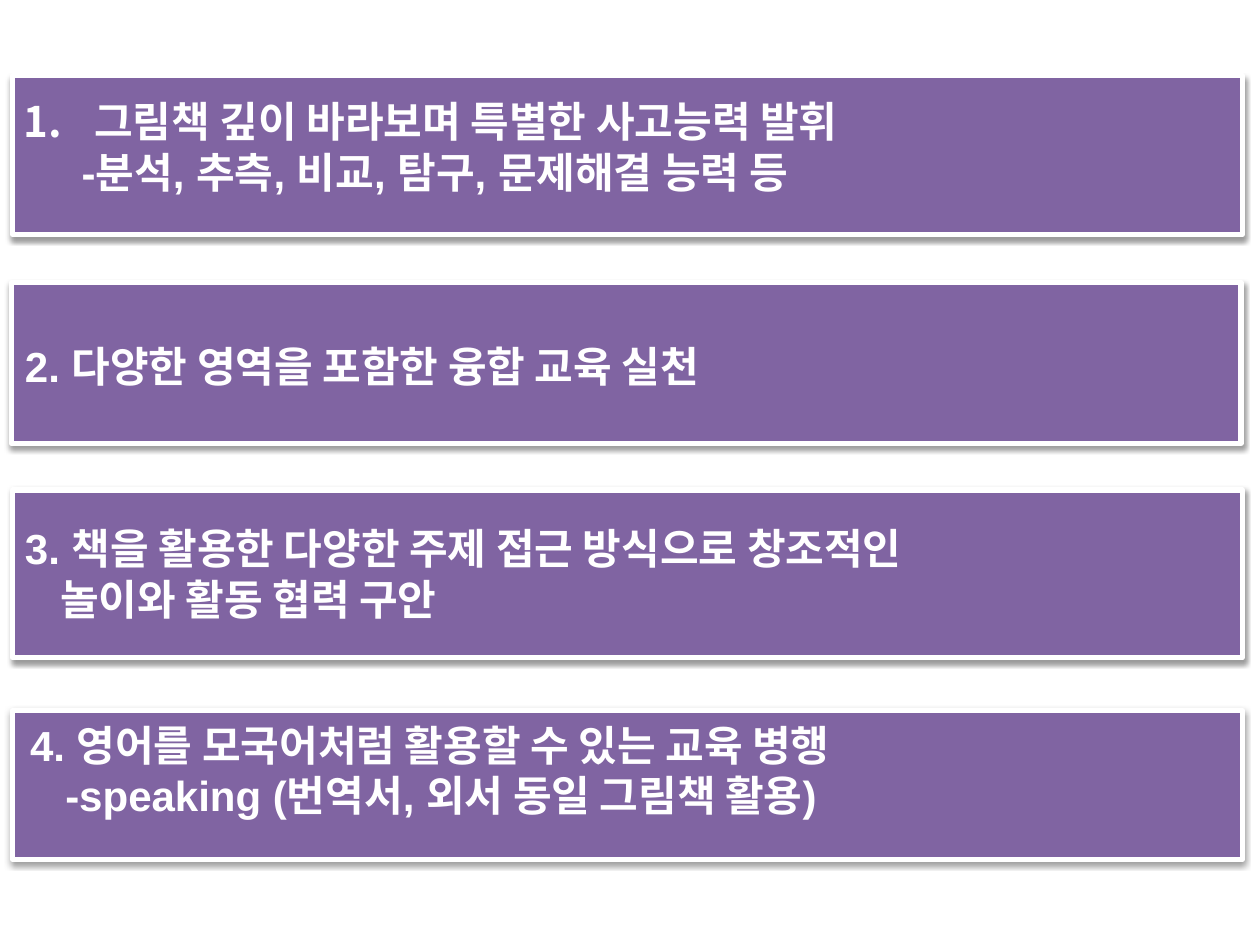
import pptx
import pptx.dml.color
import pptx.enum.shapes
import pptx.enum.text
import pptx.oxml
import pptx.oxml.ns
import pptx.util
from pptx.util import Inches

COLORS = {"panel": "8064A2", "white": "FFFFFF", "shadow": "000000"}
FONT = "Arial"
WIDTH = 9.76

# panel: left, top, height; text: left, top, height
# lines: text, left margin, first-line indent, numbered
GOALS = [
    {"panel": (0.1, 0.6, 1.26), "text": (0.09, 0.71, 0.91), "lines": [
        ("그림책 깊이 바라보며 특별한 사고능력 발휘", 0.56, -0.56, True),
        ("-분석, 추측, 비교, 탐구, 문제해결 능력 등", 0.46, 0, False)]},
    {"panel": (0.09, 2.24, 1.28), "text": (0.1, 2.65, 0.5), "lines": [
        ("2. 다양한 영역을 포함한 융합 교육 실천", 0, 0, False)]},
    {"panel": (0.1, 3.89, 1.33), "text": (0.1, 4.1, 0.91), "lines": [
        ("3. 책을 활용한 다양한 주제 접근 방식으로 창조적인", 0, 0, False),
        ("놀이와 활동 협력 구안", 0.28, 0, False)]},
    {"panel": (0.1, 5.64, 1.18), "text": (0.14, 5.66, 0.91), "lines": [
        ("4. 영어를 모국어처럼 활용할 수 있는 교육 병행", 0, 0, False),
        ("-speaking (번역서, 외서 동일 그림책 활용)", 0.28, 0, False)]},
]


def color(name):
    return pptx.dml.color.RGBColor.from_string(COLORS[name])


def add_shadow(shape):
    shape.shadow.inherit = False
    effects = shape._element.spPr.find(pptx.oxml.ns.qn("a:effectLst"))
    effects.append(pptx.oxml.parse_xml(
        f'<a:outerShdw {pptx.oxml.ns.nsdecls("a")} blurRad="40000" dist="20000" '
        f'dir="5400000" rotWithShape="0"><a:srgbClr val="{COLORS["shadow"]}">'
        '<a:alpha val="38000"/></a:srgbClr></a:outerShdw>'))


def add_panel(page, left, top, height):
    panel = page.shapes.add_shape(
        pptx.enum.shapes.MSO_SHAPE.RECTANGLE,
        Inches(left), Inches(top), Inches(WIDTH), Inches(height))
    panel.fill.solid()
    panel.fill.fore_color.rgb = color("panel")
    panel.line.color.rgb = color("white")
    panel.line.width = pptx.util.Pt(3)
    add_shadow(panel)


def add_text(page, left, top, height, lines):
    box = page.shapes.add_textbox(
        Inches(left), Inches(top), Inches(WIDTH), Inches(height))
    frame = box.text_frame
    frame.word_wrap = True
    frame.auto_size = pptx.enum.text.MSO_AUTO_SIZE.SHAPE_TO_FIT_TEXT
    for index, (text, margin, indent, numbered) in enumerate(lines):
        para = frame.add_paragraph() if index else frame.paragraphs[0]
        settings = para._p.get_or_add_pPr()
        settings.set("marL", str(Inches(margin)))
        settings.set("indent", str(Inches(indent)))
        if numbered:
            settings.append(pptx.oxml.parse_xml(
                f'<a:buAutoNum {pptx.oxml.ns.nsdecls("a")} type="arabicPeriod"/>'))
        span = para.add_run()
        span.text = text
        span.font.name = FONT
        span.font.size = pptx.util.Pt(24)
        span.font.bold = True
        span.font.color.rgb = color("white")


def main():
    deck = pptx.Presentation()
    deck.slide_width, deck.slide_height = Inches(10), Inches(7.5)
    page = deck.slides.add_slide(deck.slide_layouts[6])
    for goal in GOALS:
        add_panel(page, *goal["panel"])
        add_text(page, *goal["text"], goal["lines"])
    deck.save("out.pptx")


if __name__ == "__main__":
    main()
